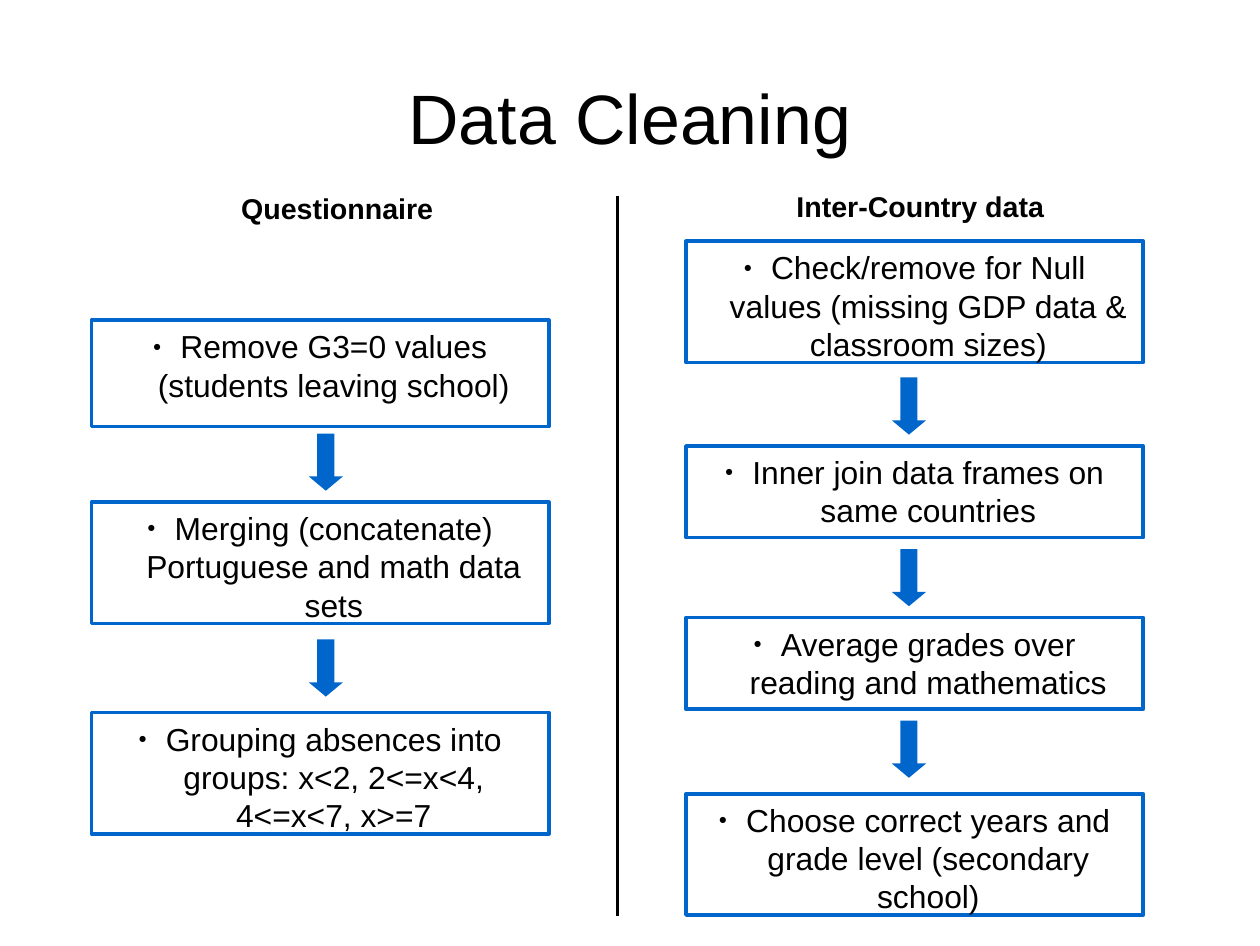
import dataclasses
import lxml.etree
import pptx
import pptx.dml.color
import pptx.enum.shapes
import pptx.enum.text
import pptx.oxml
import pptx.oxml.ns
import pptx.util

Inches = pptx.util.Inches
Pt = pptx.util.Pt
qn = pptx.oxml.ns.qn
Shape = pptx.enum.shapes.MSO_SHAPE
Anchor = pptx.enum.text.MSO_ANCHOR


@dataclasses.dataclass(frozen=True)
class Theme:
    """Colours, font and type sizes of the slide."""
    ink = pptx.dml.color.RGBColor.from_string("000000")
    blue = pptx.dml.color.RGBColor.from_string("0066CC")
    font = "Arial"
    title = 44
    head = 18
    step = 20
    border = 2.3


def write(frame, text, size, bold=False, inset=(0.1, 0.05), anchor=Anchor.TOP):
    """Put one centred paragraph in a frame and return it."""
    frame.word_wrap = True
    frame.vertical_anchor = anchor
    frame.margin_left = frame.margin_right = Inches(inset[0])
    frame.margin_top = frame.margin_bottom = Inches(inset[1])
    para = frame.paragraphs[0]
    para.text = text
    para.alignment = pptx.enum.text.PP_ALIGN.CENTER
    font = para.font
    font.name, font.size, font.bold = Theme.font, Pt(size), bold
    font.color.rgb = Theme.ink
    return para


def label(slide, box, text, size, **style):
    """Add a text box with one centred line."""
    area = slide.shapes.add_textbox(*map(Inches, box))
    write(area.text_frame, text, size, **style)


def bullet(para):
    """Give a paragraph a small round bullet and a hanging indent."""
    props = para._p.get_or_add_pPr()
    props.set("marL", str(Inches(0.24)))
    props.set("indent", str(Inches(-0.24)))
    marks = (("a:buSzPct", "val", "45000"), ("a:buFont", "typeface", Theme.font),
             ("a:buChar", "char", "●"))
    for tag, key, value in marks:
        lxml.etree.SubElement(props, qn(tag)).set(key, value)


def step(slide, box, text):
    """Add an outlined box that holds one bulleted step."""
    rect = slide.shapes.add_shape(Shape.RECTANGLE, *map(Inches, box))
    rect.shadow.inherit = False
    rect.fill.background()
    rect.line.color.rgb = Theme.blue
    rect.line.width = Pt(Theme.border)
    bullet(write(rect.text_frame, text, Theme.step, inset=(0.11, 0.06)))


def arrow(slide, box):
    """Add a solid down arrow."""
    mark = slide.shapes.add_shape(Shape.DOWN_ARROW, *map(Inches, box))
    mark.shadow.inherit = False
    mark.adjustments[0], mark.adjustments[1] = 0.5, 0.417
    mark.fill.solid()
    mark.fill.fore_color.rgb = Theme.blue
    mark.line.fill.background()


def column(slide, box, head, indent, steps, shift, arrows):
    """Add a heading, its steps (drop, height, text) and the arrows between."""
    left, top, width = box
    label(slide, (left + indent, top, 2.9, 0.38), head, Theme.head, bold=True)
    for drop, height, text in steps:
        step(slide, (left, top + drop, width, height), text)
    for drop in arrows:
        arrow(slide, (left + shift, top + drop, 0.3, 0.5))


def divide(slide, x, top, bottom):
    """Add the thin upright rule between the columns."""
    ends = map(Inches, (x, top, x, bottom))
    rule = slide.shapes.add_connector(
        pptx.enum.shapes.MSO_CONNECTOR.STRAIGHT, *ends)
    rule.line.color.rgb = Theme.ink
    rule.line.width = Pt(0)
    lxml.etree.SubElement(rule._element.spPr, qn("a:effectLst"))


def main():
    """Build the slide and save it."""
    deck = pptx.Presentation()
    deck.slide_width, deck.slide_height = Inches(11.02), Inches(8.27)
    slide = deck.slides.add_slide(deck.slide_layouts[6])
    label(slide, (0.55, 0.33, 9.92, 1.38), "Data Cleaning", Theme.title,
          inset=(0, 0), anchor=Anchor.MIDDLE)
    column(slide, (0.8, 1.62, 4), "Questionnaire", 0.7, (
        (1.18, 0.93, "Remove G3=0 values (students leaving school)"),
        (2.77, 1.06, "Merging (concatenate) Portuguese and math data sets"),
        (4.61, 1.06, "Grouping absences into groups: x<2, 2<=x<4, 4<=x<7, x>=7"),
    ), 1.9, (2.17, 3.97))
    column(slide, (6, 1.6, 4), "Inter-Country data", 0.6, (
        (0.51, 1.06, "Check/remove for Null values "
                     "(missing GDP data & classroom sizes)"),
        (2.3, 0.8, "Inner join data frames on same countries"),
        (3.8, 0.8, "Average grades over reading and mathematics"),
        (5.34, 1.06, "Choose correct years and grade level (secondary school)"),
    ), 1.8, (1.7, 3.2, 4.7))
    divide(slide, 5.4, 1.71, 8.01)
    deck.save("out.pptx")


main()
